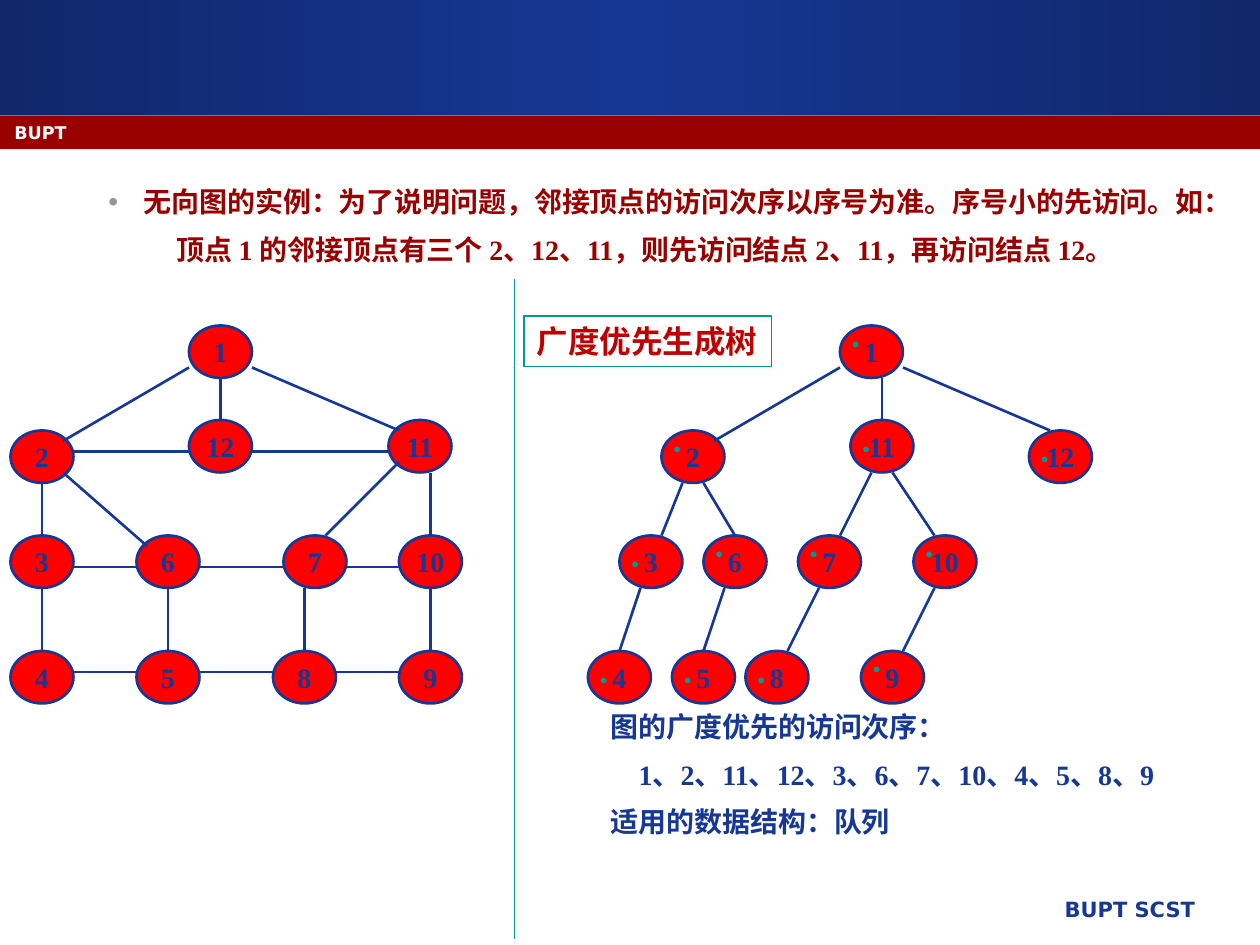
from copy import deepcopy
from pptx import Presentation
from pptx.dml.color import RGBColor as Color
from pptx.enum.shapes import MSO_CONNECTOR as Connector, MSO_SHAPE as Shape
from pptx.enum.text import MSO_ANCHOR as Anchor, MSO_AUTO_SIZE as AutoSize, PP_ALIGN as Align
from pptx.oxml.ns import qn
from pptx.oxml.xmlchemy import OxmlElement as Element
from pptx.util import Inches, Pt

COLORS = {name: Color.from_string(value) for name, value in {
    "navy": "163794", "edge": "10276A", "band": "990000", "node": "FF0000",
    "teal": "009999", "heading": "C00000", "bullet": "969696", "white": "FFFFFF",
}.items()}
SERIF, SANS, CJK = "Times New Roman", "DejaVu Sans", "Noto Sans CJK SC"

deck = Presentation()
deck.slide_width, deck.slide_height = Inches(10), Inches(7.5)
page = deck.slides.add_slide(deck.slide_layouts[1])
unit = deck.slide_width / 120


def grid(*cells):
    return [round(cell * unit) for cell in cells]


def write(box, text, size=16, color="navy", font=SERIF, align=Align.LEFT,
          anchor=Anchor.TOP, wrap=True):
    frame = box.text_frame
    frame.text = text
    frame.auto_size = AutoSize.NONE
    frame.word_wrap = wrap
    frame.vertical_anchor = anchor
    for index, para in enumerate(frame.paragraphs):
        para.alignment = align
        para.space_before = Pt(size / 2 if index else 0)
        for span in para.runs:
            span.font.size = Pt(size)
            span.font.bold = True
            span.font.name = font
            span.font.color.rgb = COLORS[color]
            east_asian = Element("a:ea")
            east_asian.set("typeface", CJK)
            span.font._element.find(qn("a:latin")).addnext(east_asian)
    return frame.paragraphs


header = page.shapes.add_shape(Shape.RECTANGLE, *grid(0, 0, 120, 10.95))
header.fill.gradient()
header.fill.gradient_angle = 0
stop_list = header._element.spPr.find(qn("a:gradFill")).find(qn("a:gsLst"))
stop_list.append(deepcopy(stop_list[0]))
for stop, color, position in zip(header.fill.gradient_stops, ("edge", "navy", "edge"), (0, 0.5, 1)):
    stop.color.rgb = COLORS[color]
    stop.position = position
ribbon = page.shapes.add_shape(Shape.RECTANGLE, *grid(0, 11, 120, 3.2))
ribbon.fill.solid()
ribbon.fill.fore_color.rgb = COLORS["band"]
for band in (header, ribbon):
    band.line.fill.background()
    band.shadow.inherit = False

footer = page.shapes.add_textbox(*grid(50.5, 84.8, 64.5, 4.2))
write(footer, "BUPT SCST", size=12, font=SANS, align=Align.RIGHT)
school = page.shapes.add_textbox(*grid(0.2, 11, 111, 3))
write(school, "BUPT", size=10, font=SANS, color="white")

body = page.placeholders[1]
body.left, body.top, body.width, body.height = grid(0, 17, 121, 9.2)
paras = write(body, "无向图的实例：为了说明问题，邻接顶点的访问次序以序号为准。序号小的先访问。如：\n"
              "顶点 1 的邻接顶点有三个 2、12、11，则先访问结点 2、11，再访问结点 12。", color="band")
for para, margin, hanging in zip(paras, (1.04, 1.3), (0.28, 0)):
    layout = para._p.get_or_add_pPr()
    layout.set("marL", str(Inches(margin)))
    layout.set("indent", str(-Inches(hanging)))
    if hanging:
        bullet_color, swatch = Element("a:buClr"), Element("a:srgbClr")
        swatch.set("val", str(COLORS["bullet"]))
        bullet_color.append(swatch)
        bullet = Element("a:buChar")
        bullet.set("char", "•")
        layout.extend([bullet_color, bullet])
    else:
        layout.append(Element("a:buNone"))

order = page.shapes.add_textbox(*grid(57, 67, 63, 14))
paras = write(order, "图的广度优先的访问次序：\n1、2、11、12、3、6、7、10、4、5、8、9\n适用的数据结构：队列")
paras[1]._p.get_or_add_pPr().set("indent", str(Inches(0.22)))

graph_nodes = [
    (1, 18, 31), (2, 1, 41), (12, 18, 40), (11, 37, 40),
    (3, 1, 51), (6, 13, 51), (7, 27, 51), (10, 38, 51),
    (4, 1, 62), (5, 13, 62), (8, 26, 62), (9, 38, 62),
]
tree_nodes = [
    (1, 80, 31), (2, 63, 41), (12, 98, 41), (11, 81, 40),
    (3, 59, 51), (6, 67, 51), (7, 76, 51), (10, 87, 51),
    (4, 56, 62), (5, 64, 62), (8, 71, 62), (9, 82, 62),
]
raised_dots = {1, 2, 6, 7, 9, 10}
graph_edges = [
    (21, 40, 21, 36), (24, 35, 38, 41), (18, 35, 6, 42),
    (4, 51, 4, 46), (41, 51, 41, 45), (6, 45, 14, 52), (38, 44, 31, 51),
    (7, 43, 18, 43), (24, 43, 37, 43),
    (13, 54, 7, 54), (27, 54, 19, 54), (38, 54, 33, 54),
    (13, 64, 7, 64), (26, 64, 19, 64), (38, 64, 32, 64),
    (4, 62, 4, 56), (16, 62, 16, 56), (29, 62, 29, 56), (41, 62, 41, 56),
]
tree_edges = [
    (84, 40, 84, 36), (86, 35, 100, 41), (80, 35, 68, 42),
    (63, 51, 65, 46), (67, 46, 70, 51), (83, 45, 80, 51), (89, 51, 85, 45),
    (59, 62, 61, 56), (67, 62, 69, 56), (75, 62, 78, 56), (86, 62, 89, 56),
]

for number, column, row in graph_nodes + tree_nodes:
    node = page.shapes.add_shape(Shape.OVAL, *grid(column, row, 6, 5))
    node.shadow.inherit = False
    node.fill.solid()
    node.fill.fore_color.rgb = COLORS["node"]
    node.line.color.rgb = COLORS["navy"]
    node.line.width = Pt(1.5)
    write(node, str(number), align=Align.CENTER, anchor=Anchor.MIDDLE, wrap=False)

divider = (49, 26.6, 49, 89.4)
for edge in graph_edges + tree_edges + [divider]:
    link = page.shapes.add_connector(Connector.STRAIGHT, *grid(*edge))
    link.line.color.rgb = COLORS["teal" if edge == divider else "navy"]
    link.line.width = Pt(0.5 if edge == divider else 1.5)
    link._element.spPr.append(Element("a:effectLst"))

for number, column, row in tree_nodes:
    dot = page.shapes.add_textbox(*grid(column - 1, row - (number in raised_dots), 5, 5.2))
    write(dot, "·", size=20, color="teal", align=Align.CENTER)

title = page.shapes.title
title.left, title.top, title.width, title.height = grid(49.9, 30.1, 23.6, 4.8)
title.line.color.rgb = COLORS["teal"]
title.line.width = Pt(0.75)
write(title, "广度优先生成树", size=18, color="heading", font=CJK, anchor=Anchor.MIDDLE, wrap=False)

deck.save("out.pptx")
